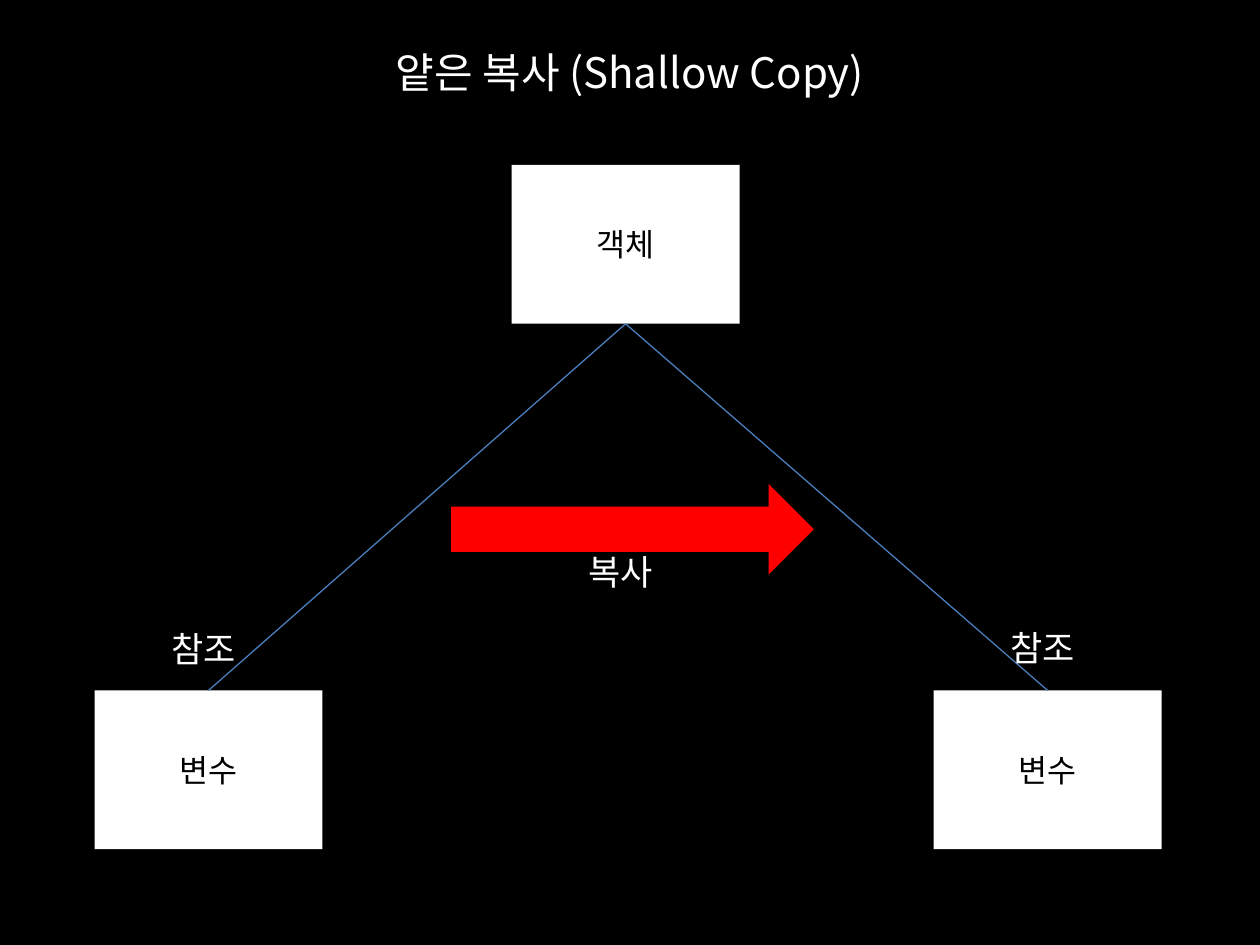
"""Build a slide that explains a shallow copy."""
from typing import NamedTuple

from lxml.etree import SubElement
from pptx import Presentation
from pptx.dml.color import RGBColor
from pptx.enum.shapes import MSO_CONNECTOR, MSO_SHAPE
from pptx.enum.text import MSO_ANCHOR, PP_ALIGN
from pptx.oxml.ns import qn
from pptx.util import Inches, Pt

WIDE, HIGH = Inches(10), Inches(7.5)
BLACK, WHITE, RED, BLUE = "000000", "FFFFFF", "FF0000", "4B7EBC"
SANS, MONO = "Noto Sans CJK KR", "DejaVu Sans Mono"
BOX_W, BOX_H = 1.81, 1.26
TAG_W, TAG_H = 0.79, 0.46
BASE = 5.48


class Item(NamedTuple):
    text: str
    left: float
    top: float


BOXES = [Item("객체", 4.06, 1.31), Item("변수", 0.75, BASE), Item("변수", 7.41, BASE)]
TAGS = [Item("참조", 1.26, 4.93), Item("참조", 7.92, 4.92), Item("복사", 4.57, 4.32)]


def color(code: str) -> RGBColor:
    return RGBColor.from_string(code)


def write(shape, text: str, size: int, face: str, code: str, align=None) -> None:
    frame = shape.text_frame
    frame.text = text
    frame.word_wrap = True
    line = frame.paragraphs[0]
    line.alignment = align
    for run in line.runs:
        font = run.font
        font.size = Pt(size)
        font.name = face
        font.color.rgb = color(code)
        SubElement(run._r.get_or_add_rPr(), qn("a:ea"), typeface=face)


def draw(slide, kind, left: float, top: float, width: float, height: float, code: str):
    shape = slide.shapes.add_shape(kind, *map(Inches, (left, top, width, height)))
    shape.shadow.inherit = False
    shape.fill.solid()
    shape.fill.fore_color.rgb = color(code)
    shape.line.fill.background()
    return shape


def add_box(slide, item: Item):
    box = draw(slide, MSO_SHAPE.RECTANGLE, item.left, item.top, BOX_W, BOX_H, WHITE)
    box.text_frame.vertical_anchor = MSO_ANCHOR.MIDDLE
    write(box, item.text, 18, SANS, BLACK, PP_ALIGN.CENTER)
    return box


def add_tag(slide, item: Item) -> None:
    tag = slide.shapes.add_textbox(*map(Inches, (item.left, item.top, TAG_W, TAG_H)))
    write(tag, item.text, 20, MONO, WHITE)
    tag.text_frame.paragraphs[0].space_before = Pt(4)


def join(slide, start, end) -> None:
    link = slide.shapes.add_connector(MSO_CONNECTOR.STRAIGHT, 0, 0, 0, 0)
    link.begin_connect(start, 0)
    link.end_connect(end, 2)
    link.line.color.rgb = color(BLUE)
    link.line.width = Pt(0.75)
    SubElement(link._element.spPr, qn("a:effectLst"))


def main() -> None:
    deck = Presentation()
    deck.slide_width, deck.slide_height = WIDE, HIGH
    slide = deck.slides.add_slide(deck.slide_layouts[5])
    slide.background.fill.solid()
    slide.background.fill.fore_color.rgb = color(BLACK)

    title = slide.shapes.title
    title.left, title.top = Inches(0.5), Inches(0.3)
    title.width, title.height = Inches(9), Inches(0.54)
    title.text_frame.vertical_anchor = MSO_ANCHOR.MIDDLE
    write(title, "얕은 복사 (Shallow Copy)", 24, SANS, WHITE, PP_ALIGN.CENTER)

    source, *users = [add_box(slide, item) for item in BOXES]
    for user in users:
        join(slide, user, source)
    draw(slide, MSO_SHAPE.RIGHT_ARROW, 3.58, 3.84, 2.88, 0.72, RED)
    for item in TAGS:
        add_tag(slide, item)
    deck.save("out.pptx")


main()
